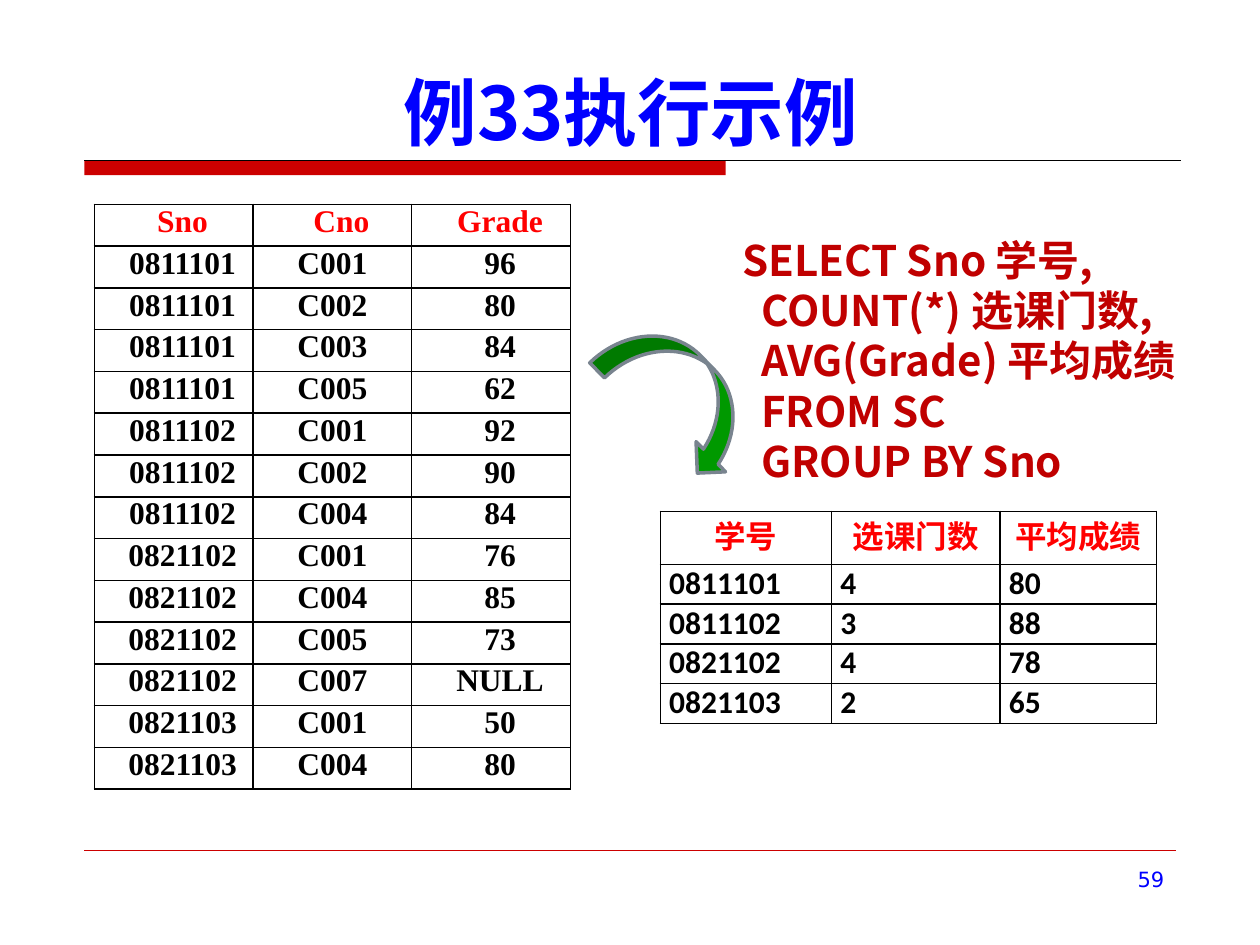
import pptx
import pptx.dml.color
import pptx.enum.shapes
import pptx.enum.text
import pptx.oxml
import pptx.oxml.ns
import pptx.util

Cm = pptx.util.Cm
Pt = pptx.util.Pt
ALIGN = pptx.enum.text.PP_ALIGN
ANCHOR = pptx.enum.text.MSO_ANCHOR
SHAPE = pptx.enum.shapes.MSO_SHAPE

CJK_FONT = "Noto Sans CJK SC"
BLUE, RED, BLACK = "0000FF", "FF0000", "000000"
DARK_RED, RULE_RED = "C00000", "CC0000"

COURSE_RECORDS = [
    ("Sno", "Cno", "Grade"),
    ("0811101", "C001", "96"),
    ("0811101", "C002", "80"),
    ("0811101", "C003", "84"),
    ("0811101", "C005", "62"),
    ("0811102", "C001", "92"),
    ("0811102", "C002", "90"),
    ("0811102", "C004", "84"),
    ("0821102", "C001", "76"),
    ("0821102", "C004", "85"),
    ("0821102", "C005", "73"),
    ("0821102", "C007", "NULL"),
    ("0821103", "C001", "50"),
    ("0821103", "C004", "80"),
]
GROUPED_RESULT = [
    ("学号", "选课门数", "平均成绩"),
    ("0811101", "4", "80"),
    ("0811102", "3", "88"),
    ("0821102", "4", "78"),
    ("0821103", "2", "65"),
]
QUERY = """SELECT Sno 学号,
  COUNT(*) 选课门数,
  AVG(Grade) 平均成绩
  FROM SC
  GROUP BY Sno"""


def rgb(color):
    return pptx.dml.color.RGBColor.from_string(color)


def format_paragraph(paragraph, size, font_name, color, bold=True, align=ALIGN.LEFT):
    paragraph.alignment = align
    for run in paragraph.runs:
        run.font.size = Pt(size)
        run.font.name = font_name
        run.font.bold = bold
        run.font.color.rgb = rgb(color)
        east_asian = pptx.oxml.parse_xml(
            f'<a:ea {pptx.oxml.ns.nsdecls("a")} typeface="{CJK_FONT}"/>')
        run.font._element.find(pptx.oxml.ns.qn("a:latin")).addnext(east_asian)


def add_text(slide, text, left, top, width, height):
    frame = slide.shapes.add_textbox(Cm(left), Cm(top), Cm(width), Cm(height)).text_frame
    frame.word_wrap = True
    frame.text = text
    return frame


def add_filled_shape(slide, kind, left, top, width, height, color):
    shape = slide.shapes.add_shape(kind, Cm(left), Cm(top), Cm(width), Cm(height))
    shape.shadow.inherit = False
    shape.fill.solid()
    shape.fill.fore_color.rgb = rgb(color)
    shape.line.fill.background()
    return shape


def add_rule(slide, left, right, y, color, weight):
    rule = slide.shapes.add_connector(
        pptx.enum.shapes.MSO_CONNECTOR.STRAIGHT, Cm(left), Cm(y), Cm(right), Cm(y))
    rule.line.color.rgb = rgb(color)
    rule.line.width = Pt(weight)
    rule._element.spPr.append(
        pptx.oxml.parse_xml(f'<a:effectLst {pptx.oxml.ns.nsdecls("a")}/>'))


def set_borders(cell):
    """Draw a 1 pt black line on all four sides of an unfilled cell."""
    cell.fill.background()
    for position, side in enumerate(("lnL", "lnR", "lnT", "lnB")):
        border = pptx.oxml.parse_xml(
            f'<a:{side} {pptx.oxml.ns.nsdecls("a")} w="12700"><a:solidFill>'
            f'<a:srgbClr val="{BLACK}"/></a:solidFill></a:{side}>')
        cell._tc.get_or_add_tcPr().insert(position, border)


def add_grid(slide, records, left, top, widths, height, font_name, body_align, indents):
    """Add a bordered table with red headings; indents holds one first-line indent per column."""
    table = slide.shapes.add_table(
        len(records), len(widths), Cm(left), Cm(top), Cm(sum(widths)), Cm(height)).table
    table.first_row = table.horz_banding = False
    for column, width in zip(table.columns, widths):
        column.width = Cm(width)
    for row, record in enumerate(records):
        for column, value in enumerate(record):
            cell = table.cell(row, column)
            cell.text = value
            cell.margin_left = cell.margin_right = Cm(0.18)
            cell.margin_top = cell.margin_bottom = 0
            set_borders(cell)
            heading = row == 0
            paragraph = cell.text_frame.paragraphs[0]
            indent = max(indents) if heading else indents[column]
            paragraph._p.get_or_add_pPr().set("indent", str(Cm(indent)))
            format_paragraph(paragraph, 18, font_name, RED if heading else BLACK,
                             align=ALIGN.CENTER if heading else body_align)
    return table


def add_title(slide, text):
    title = slide.shapes.title
    title.left, title.top, title.width, title.height = Cm(1.6), Cm(0.84), Cm(22.23), Cm(2.29)
    frame = title.text_frame
    frame.text = text
    frame.auto_size = pptx.enum.text.MSO_AUTO_SIZE.NONE
    frame.vertical_anchor = ANCHOR.BOTTOM
    frame.margin_bottom = 0
    format_paragraph(frame.paragraphs[0], 42, CJK_FONT, BLUE, align=ALIGN.CENTER)


def add_query(slide):
    frame = add_text(slide, QUERY, 14.71, 4.52, 9.6, 5.38)
    frame.margin_top = Cm(0.2)
    for paragraph in frame.paragraphs:
        paragraph.line_spacing = Pt(28.8)
        format_paragraph(paragraph, 24, CJK_FONT, DARK_RED)


def main():
    presentation = pptx.Presentation()
    presentation.slide_width, presentation.slide_height = Cm(25.4), Cm(19.05)
    slide = presentation.slides.add_slide(presentation.slide_layouts[5])

    add_filled_shape(slide, SHAPE.RECTANGLE, 1.7, 3.23, 12.93, 0.3, RULE_RED)
    add_rule(slide, 1.7, 23.8, 3.23, BLACK, 0.75)
    add_rule(slide, 1.7, 23.7, 17.15, RULE_RED, 0.25)
    add_title(slide, "例33执行示例")

    page_number = add_text(slide, "59", 18.21, 17.35, 5.51, 1.32)
    format_paragraph(page_number.paragraphs[0], 12, "DejaVu Sans", BLUE,
                     bold=False, align=ALIGN.RIGHT)

    add_grid(slide, COURSE_RECORDS, 1.9, 4.12, (3.2, 3.2, 3.2), 11.8,
             "Times New Roman", ALIGN.CENTER, (0.36, 0, 0.36))
    result = add_grid(slide, GROUPED_RESULT, 13.31, 10.31, (3.45, 3.4, 3.15), 4,
                      "Calibri", ALIGN.JUSTIFY, (0, 0, 0))
    result.rows[0].height = Cm(1.07)

    arrow = add_filled_shape(slide, SHAPE.CURVED_LEFT_ARROW, 12.88, 6.22, 1.7, 3.53, "009900")
    arrow.rotation = 315.7
    arrow.line.color.rgb = rgb("79848F")
    arrow.line.width = Pt(2)

    add_query(slide)
    presentation.save("out.pptx")


if __name__ == "__main__":
    main()
